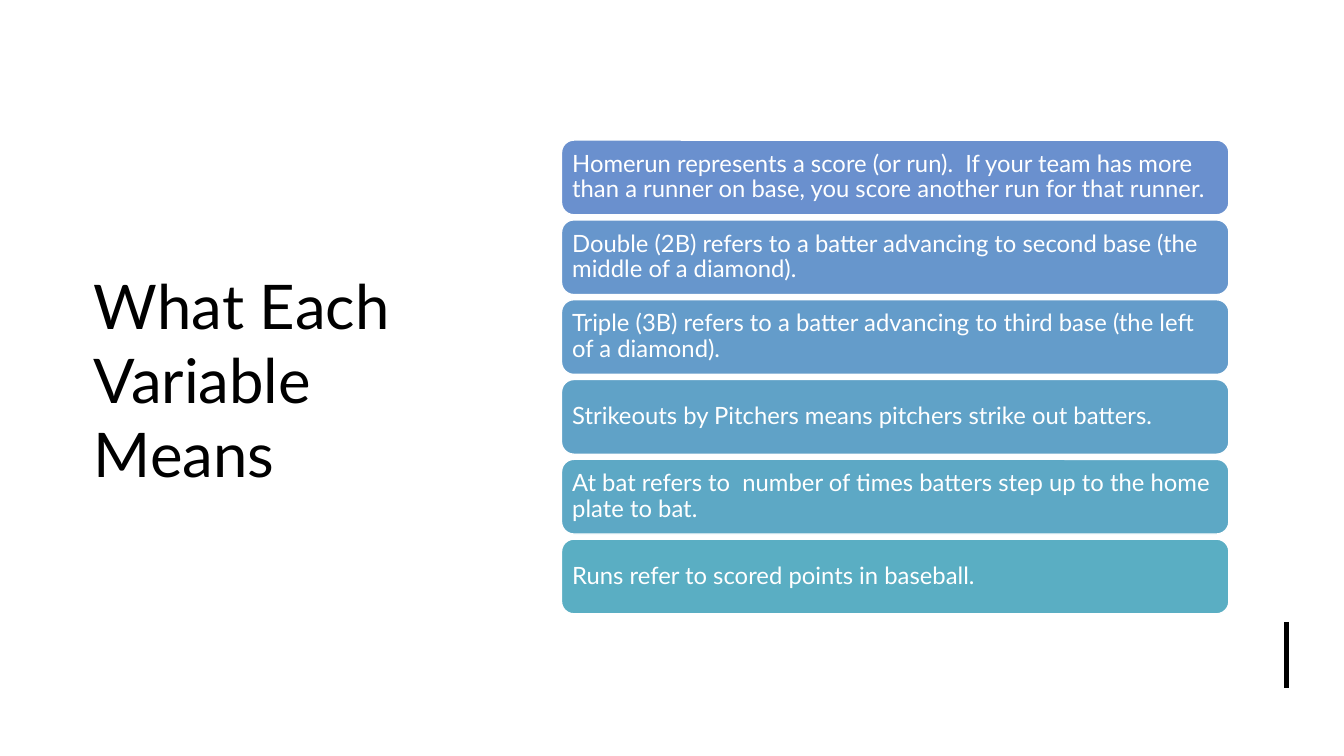
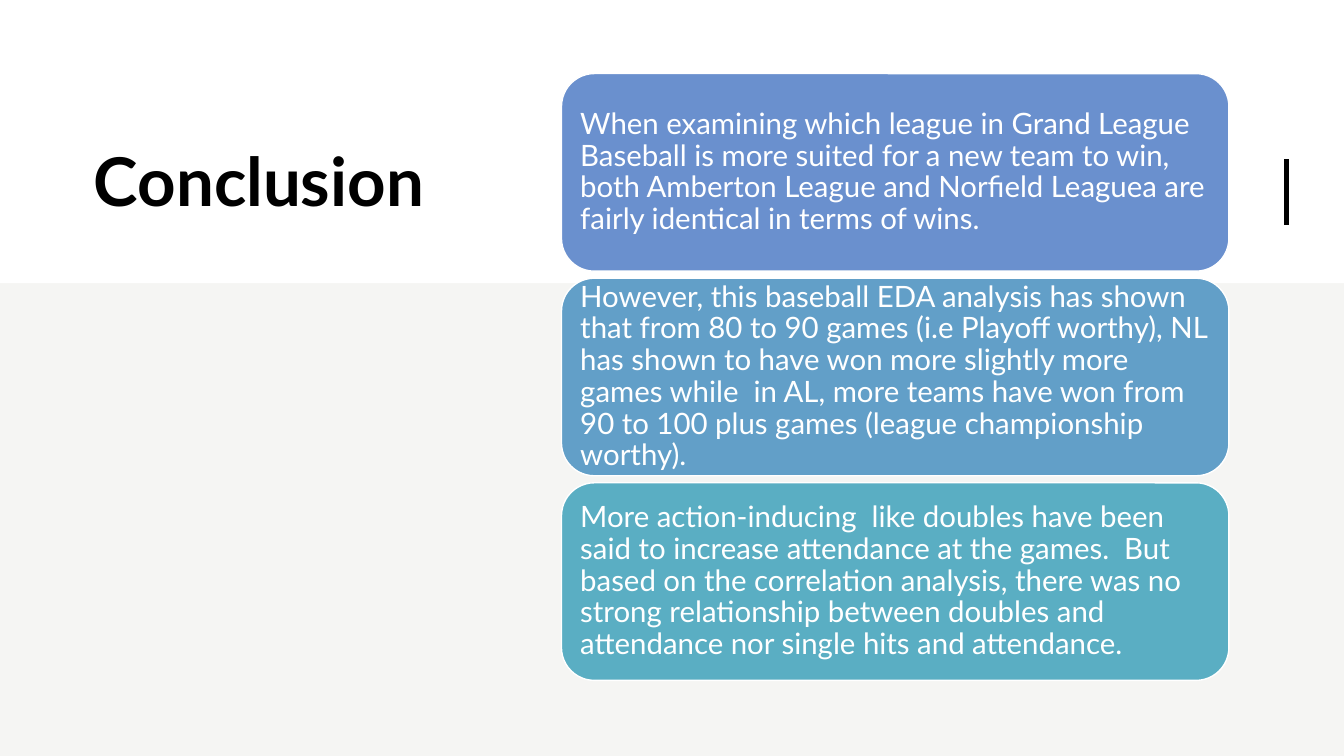
import pptx
import pptx.util
import pptx.dml.color
import pptx.enum.shapes
import pptx.enum.text
import pptx.oxml
import pptx.oxml.ns
from lxml import etree

Pt = pptx.util.Pt
SHAPE = pptx.enum.shapes.MSO_SHAPE
ANCHOR = pptx.enum.text.MSO_ANCHOR
qn = pptx.oxml.ns.qn

WIDE, HIGH = pptx.util.Inches(13.33), pptx.util.Inches(7.5)
FONT = "Lato"
BLACK, WHITE, SAND = "000000", "FFFFFF", "E8E8E2"
BLUE, TEAL = "6A90CE", "5AAEC3"
LEFT, COL, SPAN = 6.23, 41.78, 49.66  # percent of the slide's width
BAR, TALL = 95.72, 8.67

TERMS = [
    "Homerun represents a score (or run).  If your team has more than a runner on base, you score another run for that runner.",
    "Double (2B) refers to a batter advancing to second base (the middle of a diamond).",
    "Triple (3B) refers to a batter advancing to third base (the left of a diamond).",
    "Strikeouts by Pitchers means pitchers strike out batters.",
    "At bat refers to  number of times batters step up to the home plate to bat.",
    "Runs refer to scored points in baseball.",
]
POINTS = [
    "When examining which league in Grand League Baseball is more suited for a new team to win, both Amberton League and Norfield Leaguea are fairly identical in terms of wins.",
    "However, this baseball EDA analysis has shown that from 80 to 90 games (i.e Playoff worthy), NL has shown to have won more slightly more games while  in AL, more teams have won from 90 to 100 plus games (league championship worthy).",
    "More action-inducing  like doubles have been said to increase attendance at the games.  But based on the correlation analysis, there was no strong relationship between doubles and attendance nor single hits and attendance.",
]


def place(x, y, w, h):
    """Turn percent of the slide into lengths."""
    return (int(WIDE * x / 100), int(HIGH * y / 100),
            int(WIDE * w / 100), int(HIGH * h / 100))


def paint(form, tone):
    """Give a fill, line or font format a solid colour."""
    if hasattr(form, "solid"):
        form.solid()
        form = form.fore_color
    else:
        form = form.color
    form.rgb = pptx.dml.color.RGBColor.from_string(tone)


def blend(first, last, part):
    pairs = [(int(first[i:i + 2], 16), int(last[i:i + 2], 16)) for i in (0, 2, 4)]
    return "".join(f"{round(a + (b - a) * part):02X}" for a, b in pairs)


def write(shape, text, size, tone=BLACK, bold=False, anchor=ANCHOR.MIDDLE,
          space=1.0, inset=None):
    frame = shape.text_frame
    frame.text = text
    frame.word_wrap = True
    frame.auto_size = pptx.enum.text.MSO_AUTO_SIZE.NONE
    frame.vertical_anchor = anchor
    if inset is not None:
        frame.margin_left = frame.margin_right = inset
        frame.margin_top = frame.margin_bottom = inset
    for para in frame.paragraphs:
        para.alignment = pptx.enum.text.PP_ALIGN.LEFT
        para.line_spacing = space
        font = para.font
        font.name, font.size, font.bold = FONT, Pt(size), bold
        paint(font, tone)


def block(shapes, kind, box, tone, edge=None):
    shape = shapes.add_shape(kind, *box)
    shape.shadow.inherit = False
    paint(shape.fill, tone)
    if edge:
        paint(shape.line, edge)
        shape.line.width = Pt(1)
    else:
        shape.line.fill.background()
    return shape


def head(slide, text, box, **form):
    """Set the title and keep it in front of the backdrop."""
    title = slide.shapes.title
    title.left, title.top, title.width, title.height = box
    write(title, text, **form)
    slide.shapes.element.append(title.element)


def mark(slide, top):
    """Draw the upright bar near the right edge."""
    x, y, _, h = place(BAR, top, 0, TALL)
    line = slide.shapes.add_connector(
        pptx.enum.shapes.MSO_CONNECTOR.STRAIGHT, x, y, x, y + h)
    paint(line.line, BLACK)
    line.line.width = Pt(3)
    etree.SubElement(line.element.spPr, qn("a:effectLst"))


def stack(slide, items, box, gap, size, inset):
    """Fill the box with equal cards shading from blue to teal."""
    x, y, w, h = box
    count = len(items)
    gap = int(HIGH * gap / 100)
    tall = (h - gap * (count - 1)) // count
    group = slide.shapes.add_group_shape()
    for i, text in enumerate(items):
        card = block(group.shapes, SHAPE.ROUNDED_RECTANGLE,
                     (x, y + i * (tall + gap), w, tall),
                     blend(BLUE, TEAL, i / (count - 1)), edge=WHITE)
        write(card, text, size, tone=WHITE, space=0.9,
              inset=pptx.util.Inches(inset))


def backdrop(slide):
    """Lay a pale wash with a white band across the top."""
    wash = block(slide.shapes, SHAPE.RECTANGLE, place(0, 0, 100, 100), SAND)
    tint = wash.element.spPr.find(".//" + qn("a:srgbClr"))
    etree.SubElement(tint, qn("a:alpha"), val="40000")
    block(slide.shapes, SHAPE.RECTANGLE, place(0, 0, 100, 37.47), WHITE)


def terms(slide):
    head(slide, "What Each Variable Means", place(LEFT, 12.53, 28.28, 75.2), size=44)
    mark(slide, 82.27)
    stack(slide, TERMS, place(COL, 18.53, SPAN, 62.67), gap=0.67, size=17, inset=0.07)


def ending(slide):
    backdrop(slide)
    head(slide, "Conclusion", place(LEFT, 10.93, 85.52, 18.8), size=48,
         bold=True, anchor=ANCHOR.BOTTOM)
    mark(slide, 21.07)
    stack(slide, POINTS, place(COL, 9.73, SPAN, 80.27), gap=0.93, size=21, inset=0.09)


def main():
    deck = pptx.Presentation()
    deck.slide_width, deck.slide_height = WIDE, HIGH
    paint(deck.slide_master.background.fill, WHITE)
    for build in (terms, ending):
        build(deck.slides.add_slide(deck.slide_layouts[5]))
    deck.save("out.pptx")


if __name__ == "__main__":
    main()
